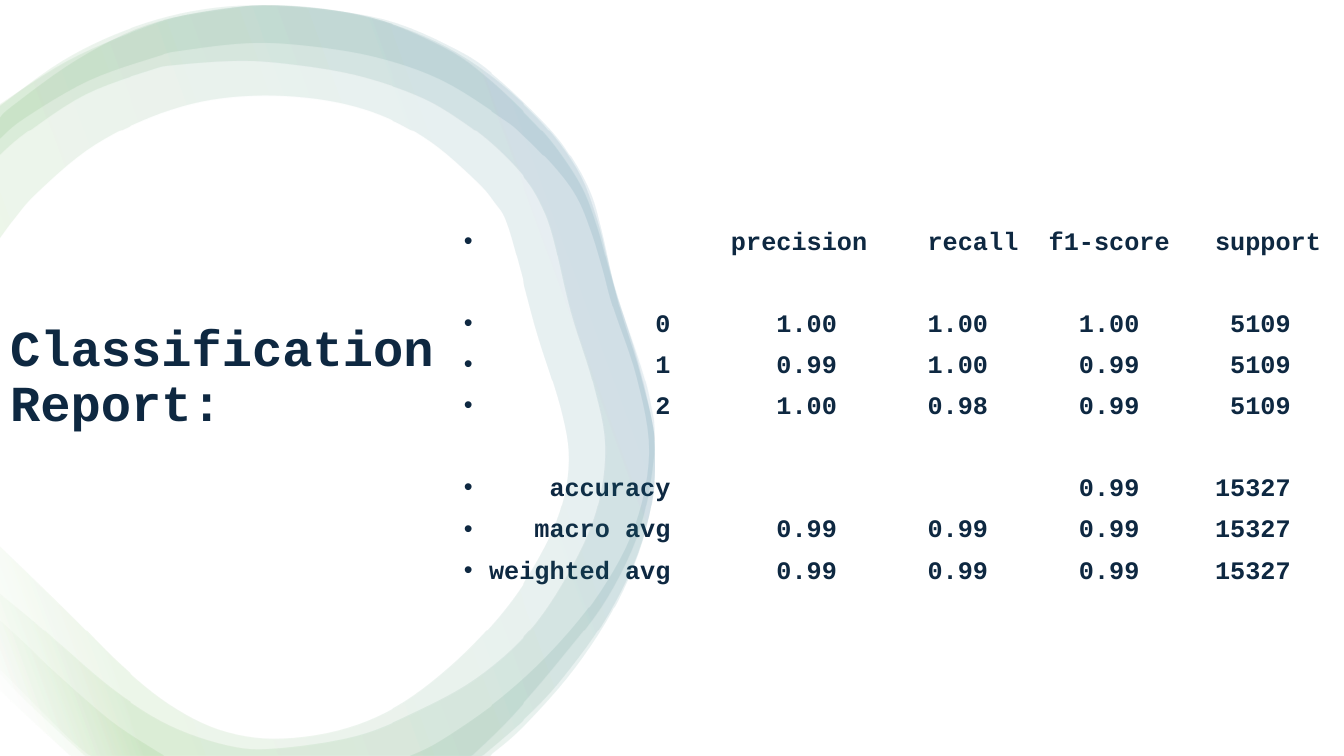
import pptx
import pptx.dml.color
import pptx.enum.shapes
import pptx.enum.text
import pptx.oxml
import pptx.oxml.ns
import pptx.util
from pptx.util import Inches

RGBColor = pptx.dml.color.RGBColor
NAVY = RGBColor(0x0E, 0x28, 0x41)
WHITE = RGBColor(0xFF, 0xFF, 0xFF)
GREEN = RGBColor(0x4E, 0xA7, 0x2E)
TEAL = RGBColor(0x15, 0x60, 0x82)
BAND_STOPS = [(2, WHITE), (16, GREEN), (85, TEAL), (100, WHITE)]
BAND_OPACITY = 10

# Each band is a list of contours, each contour a list of smooth arcs
WIDE_BAND = [[
    [(0, 1.04), (0.67, 0.61), (1.38, 0.3), (1.93, 0.14), (2.75, 0.06), (3.67, 0.18),
     (4.41, 0.48), (4.85, 0.79), (5.31, 1.23), (5.56, 1.53), (5.78, 1.88), (5.92, 2.25),
     (6.02, 2.61), (6.12, 2.95), (6.35, 3.63), (6.45, 4.02), (6.49, 4.43), (6.35, 5.22),
     (6.02, 5.93), (5.56, 6.54), (5.06, 7.12), (4.67, 7.5)],
    [(0.71, 7.5), (0.09, 6.93), (0, 6.84)],
    [(0, 5.88), (0.34, 6.16), (0.61, 6.4), (1.14, 6.85), (1.68, 7.19), (2.26, 7.39),
     (2.73, 7.42), (3.52, 7.3), (4.12, 7.06), (4.72, 6.73), (5.24, 6.27), (5.63, 5.7),
     (5.91, 5.08), (6, 4.43), (5.88, 3.8), (5.66, 3.09), (5.49, 2.37), (5.38, 2.06),
     (5.22, 1.79), (4.93, 1.48), (4.59, 1.21), (4.16, 0.96), (3.53, 0.75), (2.86, 0.64),
     (2.35, 0.61), (1.75, 0.65), (1.5, 0.7), (0.85, 0.94), (0.27, 1.32), (0, 1.55)],
]]
BROAD_BAND = [[
    [(0, 1.05), (0.61, 0.61), (1.23, 0.31), (1.9, 0.12), (2.61, 0.06), (3.41, 0.13),
     (4.11, 0.33), (4.74, 0.67), (5.32, 1.17), (5.71, 1.68), (5.91, 2.18), (6.07, 2.81),
     (6.35, 3.74), (6.49, 4.58), (6.35, 5.37), (6.02, 6.09), (5.58, 6.71), (5.22, 7.1),
     (4.76, 7.5)],
    [(0.9, 7.5), (0.66, 7.3), (0.1, 6.74), (0, 6.64)],
    [(0, 5.42), (0.26, 5.67), (0.71, 6.11), (1.2, 6.6), (1.67, 6.98), (2.16, 7.23),
     (2.7, 7.32), (3.34, 7.24), (3.91, 7.01), (4.44, 6.62), (4.93, 6.12), (5.29, 5.61),
     (5.54, 5.08), (5.63, 4.56), (5.55, 4.05), (5.32, 3.32), (5.16, 2.73), (5.01, 2.21),
     (4.89, 2.01), (4.71, 1.8), (4.27, 1.42), (3.78, 1.15), (3.24, 1), (2.61, 0.95),
     (1.99, 1.01), (1.4, 1.2), (0.85, 1.5), (0.36, 1.92), (0.15, 2.16), (0, 2.36)],
]]
THIN_BAND = [[
    [(0, 6.15), (0.26, 6.39), (0.53, 6.65), (1.08, 7.13), (1.53, 7.43), (1.66, 7.5)],
    [(0.87, 7.5), (0.82, 7.47), (0.25, 6.94), (0, 6.68)],
], [
    [(0, 1.16), (0.13, 1.04), (0.76, 0.59), (1.45, 0.25), (2.23, 0.09), (2.81, 0.06),
     (3.78, 0.19), (4.51, 0.49), (4.92, 0.77), (5.41, 1.24), (5.65, 1.55), (5.84, 1.9),
     (5.95, 2.27), (6.12, 3.01), (6.34, 3.73), (6.49, 4.48), (6.39, 5.24), (6.11, 5.96),
     (5.69, 6.62), (5.18, 7.2), (4.83, 7.5)],
    [(4.02, 7.5), (4.35, 7.34), (4.94, 6.93), (5.48, 6.43), (5.94, 5.86), (6.28, 5.21),
     (6.42, 4.48), (6.3, 3.75), (6.06, 3.03), (5.96, 2.66), (5.85, 2.3), (5.71, 1.96),
     (5.5, 1.67), (5.18, 1.34), (4.97, 1.17), (4.36, 0.79), (3.69, 0.56), (2.98, 0.45),
     (2.44, 0.43), (1.82, 0.5), (1.55, 0.56), (0.87, 0.8), (0.24, 1.17), (0, 1.37)],
]]

# Console report: text columns are right-aligned by width
HEADER = f"{'precision':>25}{'recall':>10}{'f1-score':>10}{'support':>10}"
SCORES = [
    ("0", "1.00", "1.00", "1.00", "5109"),
    ("1", "0.99", "1.00", "0.99", "5109"),
    ("2", "1.00", "0.98", "0.99", "5109"),
    ("accuracy", "", "", "0.99", "15327"),
    ("macro avg", "0.99", "0.99", "0.99", "15327"),
    ("weighted avg", "0.99", "0.99", "0.99", "15327"),
]
GROUP_STARTS = ("0", "accuracy")


def smooth(points, steps=6):
    """Catmull-Rom curve through the points, in EMU."""
    padded = [points[0], *points, points[-1]]
    curve = [points[0]]
    for a, b, c, d in zip(padded, padded[1:], padded[2:], padded[3:]):
        for i in range(1, steps + 1):
            t = i / steps
            curve.append(tuple(
                (2 * q + (r - p) * t + (2 * p - 5 * q + 4 * r - u) * t ** 2
                 + (3 * q - p - 3 * r + u) * t ** 3) / 2
                for p, q, r, u in zip(a, b, c, d)))
    return [(Inches(x), Inches(y)) for x, y in curve]


class ReportSlide:
    font_name = "Courier New"

    def __init__(self, prs):
        self.s = prs.slides.add_slide(prs.slide_layouts[1])

    def backdrop(self, width, height):
        sp = self.s.shapes.add_shape(
            pptx.enum.shapes.MSO_SHAPE.RECTANGLE, 0, 0, width, height)
        sp.shadow.inherit = False
        sp.fill.solid()
        sp.fill.fore_color.rgb = WHITE
        sp.line.fill.background()
        sp.element.getparent().insert(2, sp.element)

    def place(self, sp, left, top, width, height):
        box = {"left": left, "top": top, "width": width, "height": height}
        for name, value in box.items():
            setattr(sp, name, Inches(value))
        tf = sp.text_frame
        frame = {"word_wrap": True, "auto_size": pptx.enum.text.MSO_AUTO_SIZE.NONE,
                 "vertical_anchor": pptx.enum.text.MSO_ANCHOR.MIDDLE}
        for name, value in frame.items():
            setattr(tf, name, value)
        return tf

    def add_text(self, p, text, size, space_before=0):
        layout = {"alignment": pptx.enum.text.PP_ALIGN.LEFT, "line_spacing": 0.9,
                  "space_before": pptx.util.Pt(space_before)}
        for name, value in layout.items():
            setattr(p, name, value)
        r = p.add_run()
        r.text = text
        style = {"name": self.font_name, "size": pptx.util.Pt(size), "bold": True}
        for name, value in style.items():
            setattr(r.font, name, value)
        r.font.color.rgb = NAVY

    def title(self, text, *box):
        tf = self.place(self.s.shapes.title, *box)
        self.add_text(tf.paragraphs[0], text, 36)

    def bullets(self, lines, *box):
        tf = self.place(self.s.placeholders[1], *box)
        for i, (text, space_before) in enumerate(lines):
            p = tf.add_paragraph() if i else tf.paragraphs[0]
            pPr = p._p.get_or_add_pPr()
            pPr.set("marL", str(Inches(0.25)))
            pPr.set("indent", str(-Inches(0.25)))
            for tag, key, value in (("a:buFont", "typeface", "Arial"),
                                    ("a:buChar", "char", "•")):
                bullet = pptx.oxml.parse_xml(f"<{tag} {pptx.oxml.ns.nsdecls('a')}/>")
                bullet.set(key, value)
                pPr.append(bullet)
            self.add_text(p, text, 18, space_before)

    def band(self, contours):
        builder = None
        for arcs in contours:
            points = [point for arc in arcs for point in smooth(arc)]
            if builder is None:
                builder = self.s.shapes.build_freeform(*points[0], scale=1.0)
            else:
                builder.move_to(*points[0])
            builder.add_line_segments(points[1:], close=True)
        sp = builder.convert_to_shape()
        sp.shadow.inherit = False
        sp.line.fill.background()
        sp.fill.gradient()
        sp.fill.gradient_angle = 20
        stops = sp.element.spPr.find(".//" + pptx.oxml.ns.qn("a:gsLst"))
        for stop in list(stops):
            stops.remove(stop)
        for position, color in BAND_STOPS:
            stops.append(pptx.oxml.parse_xml(
                f'<a:gs {pptx.oxml.ns.nsdecls("a")} pos="{position * 1000}">'
                f'<a:srgbClr val="{color}"><a:alpha val="{BAND_OPACITY * 1000}"/>'
                f'</a:srgbClr></a:gs>'))


def main():
    prs = pptx.Presentation()
    prs.slide_width, prs.slide_height = Inches(13.33), Inches(7.5)
    slide = ReportSlide(prs)
    slide.backdrop(prs.slide_width, prs.slide_height)

    # Title and report
    slide.title("Classification Report:", 0, 2.95, 5.44, 1.59)
    lines = [(HEADER, 0)]
    for label, precision, recall, f1, support in SCORES:
        text = f"{label:>12}{precision:>11}{recall:>10}{f1:>10}{support:>10}"
        lines.append((text, 39 if label in GROUP_STARTS else 10))
    slide.bullets(lines, 4.5, 0.97, 8.83, 6.13)

    # Overlapping translucent ring
    for contours in (WIDE_BAND, BROAD_BAND, THIN_BAND):
        slide.band(contours)

    prs.save("out.pptx")


if __name__ == "__main__":
    main()
